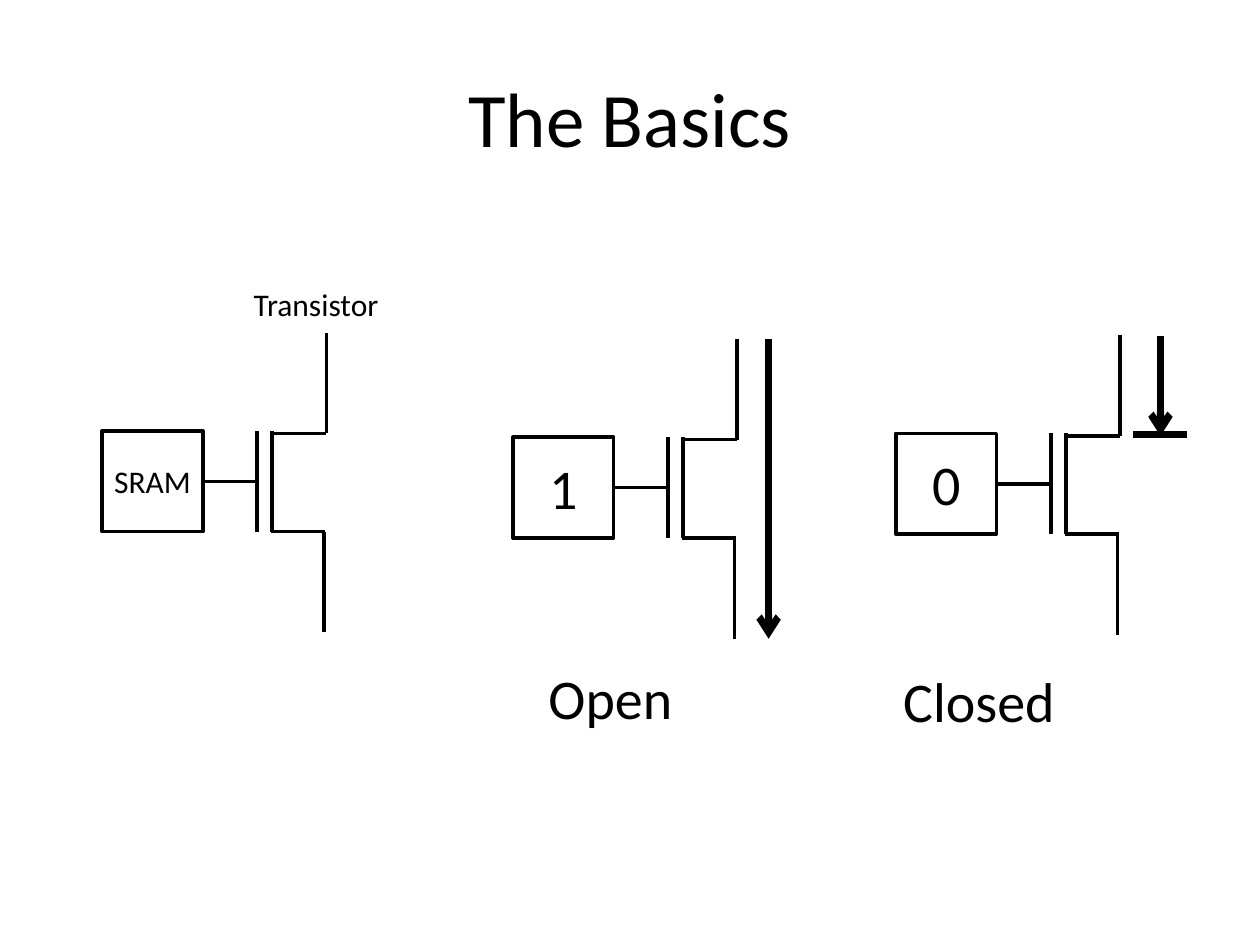
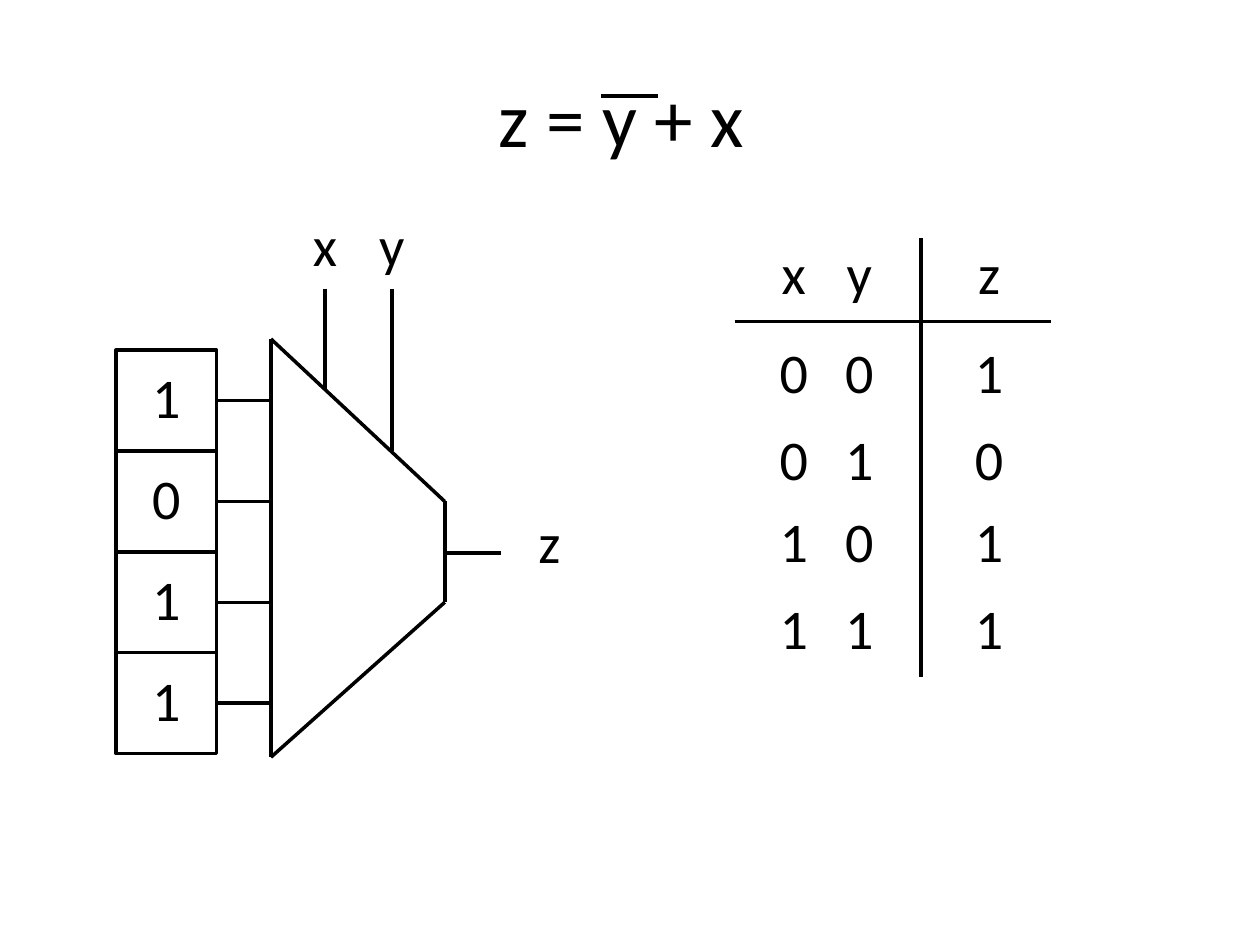
from lxml import etree
from pptx import Presentation
from pptx.dml.color import RGBColor
from pptx.enum.shapes import MSO_CONNECTOR, MSO_SHAPE
from pptx.enum.text import MSO_ANCHOR, MSO_AUTO_SIZE, PP_ALIGN
from pptx.oxml.ns import qn
from pptx.util import Inches, Pt

BLACK = RGBColor(0x00, 0x00, 0x00)
WHITE = RGBColor(0xFF, 0xFF, 0xFF)
FONT = "Calibri"
LEFT, CENTER = PP_ALIGN.LEFT, PP_ALIGN.CENTER
MIDDLE = MSO_ANCHOR.MIDDLE
GROW = MSO_AUTO_SIZE.SHAPE_TO_FIT_TEXT
STRAIGHT = MSO_CONNECTOR.STRAIGHT
RECTANGLE = MSO_SHAPE.RECTANGLE

WIDTH, HEIGHT = 10, 7.5
CELL = 0.8      # side of a memory cell, and length of a vertical lead
LEAD = 0.43     # length of a horizontal lead
THIN, THICK = 2, 4
SMALL, LARGE, TITLE = 18, 32, 44


def add_text(page, text, left, top, width, height, size, align=CENTER):
    box = page.shapes.add_textbox(Inches(left), Inches(top), Inches(width), Inches(height))
    frame = box.text_frame
    frame.word_wrap = True
    para = frame.paragraphs[0]
    para.text = text
    para.alignment = align
    para.font.name = FONT
    para.font.size = Pt(size)
    para.font.color.rgb = BLACK
    return frame


def add_title(page, text):
    frame = add_text(page, text, 0.05 * WIDTH, 0.04 * HEIGHT, 0.9 * WIDTH, 1.25, TITLE)
    frame.vertical_anchor = MIDDLE


def add_label(page, text, x, y, size=LARGE, width=0.99, align=CENTER):
    """Put a one-line label around the centre point x, y."""
    height = 0.64 if size == LARGE else 0.4
    frame = add_text(page, text, x - width / 2, y - height / 2, width, height, size, align)
    frame.auto_size = GROW


def add_line(page, start, end, weight=THIN, arrow=False):
    line = page.shapes.add_connector(STRAIGHT, *map(Inches, (*start, *end)))
    line.line.color.rgb = BLACK
    line.line.width = Pt(weight)
    if arrow:
        etree.SubElement(line.line._get_or_add_ln(), qn("a:tailEnd"), type="arrow")
    etree.SubElement(line._element.spPr, qn("a:effectLst"))


def add_cell(page, left, top):
    """Draw a memory cell with a lead leaving the middle of its right side."""
    cell = page.shapes.add_shape(RECTANGLE, *map(Inches, (left, top, CELL, CELL)))
    cell.shadow.inherit = False
    cell.fill.solid()
    cell.fill.fore_color.rgb = WHITE
    cell.line.color.rgb = BLACK
    cell.line.width = Pt(THIN)
    right, middle = left + CELL, top + CELL / 2
    add_line(page, (right, middle), (right + LEAD, middle))


def add_transistor(page, left, top, text, size):
    """Draw a memory cell that drives the gate of a transistor."""
    add_cell(page, left, top)
    gate = left + CELL + LEAD
    channel = gate + 0.12
    bottom = top + CELL
    drain_y = top + 0.02
    drain, source = channel + LEAD, channel + LEAD - 0.02
    for plate in (gate, channel):
        add_line(page, (plate, bottom), (plate, top))
    add_line(page, (channel, drain_y), (drain, drain_y))
    add_line(page, (drain, drain_y), (drain, drain_y - CELL))
    add_line(page, (channel - 0.01, bottom), (source + 0.01, bottom))
    add_line(page, (source, bottom + CELL), (source, bottom))
    add_label(page, text, left + CELL / 2, top + CELL / 2, size)


def build_basics(page):
    add_title(page, "The Basics")
    transistors = ((0.81, 3.42, "SRAM", SMALL), (4.07, 3.47, "1", LARGE), (7.11, 3.44, "0", LARGE))
    for transistor in transistors:
        add_transistor(page, *transistor)
    add_label(page, "Transistor", 2.58, 2.41, SMALL, 1.33, LEFT)
    add_label(page, "Open", 4.92, 5.54, width=1.33, align=LEFT)
    add_label(page, "Closed", 7.77, 5.56, width=1.8)

    # Current flows through the open switch and stops at the closed one
    add_line(page, (6.1, 2.69), (6.1, 5.07), THICK, arrow=True)
    add_line(page, (9.21, 2.67), (9.21, 3.46), THICK, arrow=True)
    add_line(page, (8.99, 3.45), (8.99 + LEAD, 3.45), THICK)


def build_lookup(page):
    add_title(page, "z = y + x ")
    add_line(page, (4.77, 0.76), (5.22, 0.76))

    # Stack of memory cells
    left, top = 0.92, 2.78
    for row, bit in enumerate("1011"):
        cell_top = top + row * CELL
        add_cell(page, left, cell_top)
        add_label(page, bit, left + CELL / 2, cell_top + 0.37)

    # Multiplexer with its select inputs and output
    mux_left, mux_right = left + CELL + LEAD, 3.53
    corners = [(mux_left, 2.69), (mux_right, 3.98), (mux_right, 4.78), (mux_left, 6.01)]
    for start, end in zip(corners, corners[1:] + corners[:1]):
        add_line(page, start, end)
    for name, x, slope_y in (("x", 2.58, 3.09), ("y", 3.11, 3.58)):
        add_label(page, name, x, 1.94)
        add_line(page, (x, 2.29), (x, slope_y))
    add_line(page, (3.55, 4.39), (3.55 + LEAD, 4.39))
    add_label(page, "z", 4.36, 4.3)

    # Truth table
    columns = (6.3, 6.82, 7.85)
    rows = ((2.16, "xyz"), (2.95, "001"), (3.64, "010"), (4.29, "101"), (4.98, "111"))
    for y, entries in rows:
        for x, entry in zip(columns, entries):
            add_label(page, entry, x, y)
    add_line(page, (7.31, 1.89), (7.31, 5.37))
    add_line(page, (5.83, 2.55), (8.34, 2.55))


def main():
    deck = Presentation()
    deck.slide_width, deck.slide_height = Inches(WIDTH), Inches(HEIGHT)
    blank = deck.slide_layouts[6]
    for build in (build_basics, build_lookup):
        build(deck.slides.add_slide(blank))
    deck.save("out.pptx")


if __name__ == "__main__":
    main()
